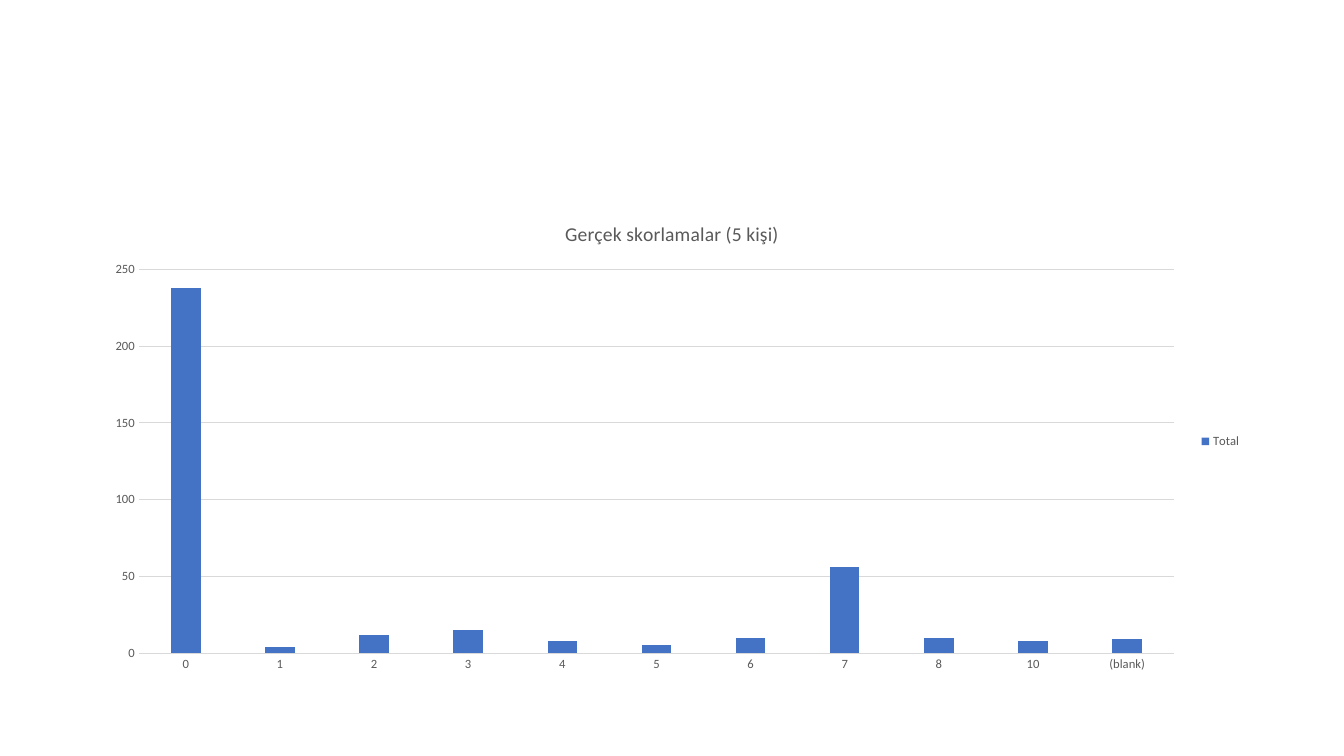
from pptx import Presentation
from pptx.chart.data import CategoryChartData
from pptx.dml.color import RGBColor
from pptx.enum.chart import XL_CHART_TYPE, XL_LEGEND_POSITION, XL_TICK_MARK
from pptx.util import Pt

PX = 9525  # EMU per px, 96 px to the inch
FONT = "Calibri"
GREY_TEXT = RGBColor(0x59, 0x59, 0x59)
GREY_LINE = RGBColor(0xD9, 0xD9, 0xD9)
BLUE = RGBColor(0x44, 0x72, 0xC4)
COLUMNS = XL_CHART_TYPE.COLUMN_CLUSTERED
LEGEND_RIGHT = XL_LEGEND_POSITION.RIGHT
NO_TICK = XL_TICK_MARK.NONE

SCORE_COUNTS = {
    "0": 238, "1": 4, "2": 12, "3": 15, "4": 8, "5": 5,
    "6": 10, "7": 56, "8": 10, "10": 8, "(blank)": 9,
}


def style_font(font, size):
    font.name = FONT
    font.size = Pt(size)
    font.bold = False
    font.color.rgb = GREY_TEXT


def style_line(line):
    line.color.rgb = GREY_LINE
    line.width = Pt(0.75)


def add_score_chart(slide, left, top, width, height):
    scores = CategoryChartData()
    scores.categories = SCORE_COUNTS.keys()
    scores.add_series("Total", SCORE_COUNTS.values())
    box = [length * PX for length in (left, top, width, height)]
    chart = slide.shapes.add_chart(COLUMNS, *box, scores).chart
    chart.font.name = FONT
    chart.font.size = Pt(10)

    chart.has_title = True
    heading = chart.chart_title.text_frame.paragraphs[0]
    heading.text = "Gerçek skorlamalar (5 kişi)"
    style_font(heading.runs[0].font, 14)
    chart.chart_title.include_in_layout = False

    chart.has_legend = True
    chart.legend.position = LEGEND_RIGHT
    chart.legend.include_in_layout = False
    style_font(chart.legend.font, 9)

    score_axis, count_axis = chart.category_axis, chart.value_axis
    for axis in (score_axis, count_axis):
        axis.major_tick_mark = axis.minor_tick_mark = NO_TICK
        style_font(axis.tick_labels.font, 9)
    style_line(score_axis.format.line)
    count_axis.format.line.fill.background()
    count_axis.has_major_gridlines = True
    style_line(count_axis.major_gridlines.format.line)

    plot = chart.plots[0]
    plot.gap_width = 219
    plot.overlap = -27
    plot.vary_by_categories = False
    total = plot.series[0]
    total.invert_if_negative = False
    total.format.fill.solid()
    total.format.fill.fore_color.rgb = BLUE


def main():
    prs = Presentation()
    prs.slide_width = 1280 * PX
    prs.slide_height = 720 * PX
    slide = prs.slides.add_slide(prs.slide_layouts[6])
    add_score_chart(slide, 88, 192, 1104, 457)
    prs.save("out.pptx")


if __name__ == "__main__":
    main()
